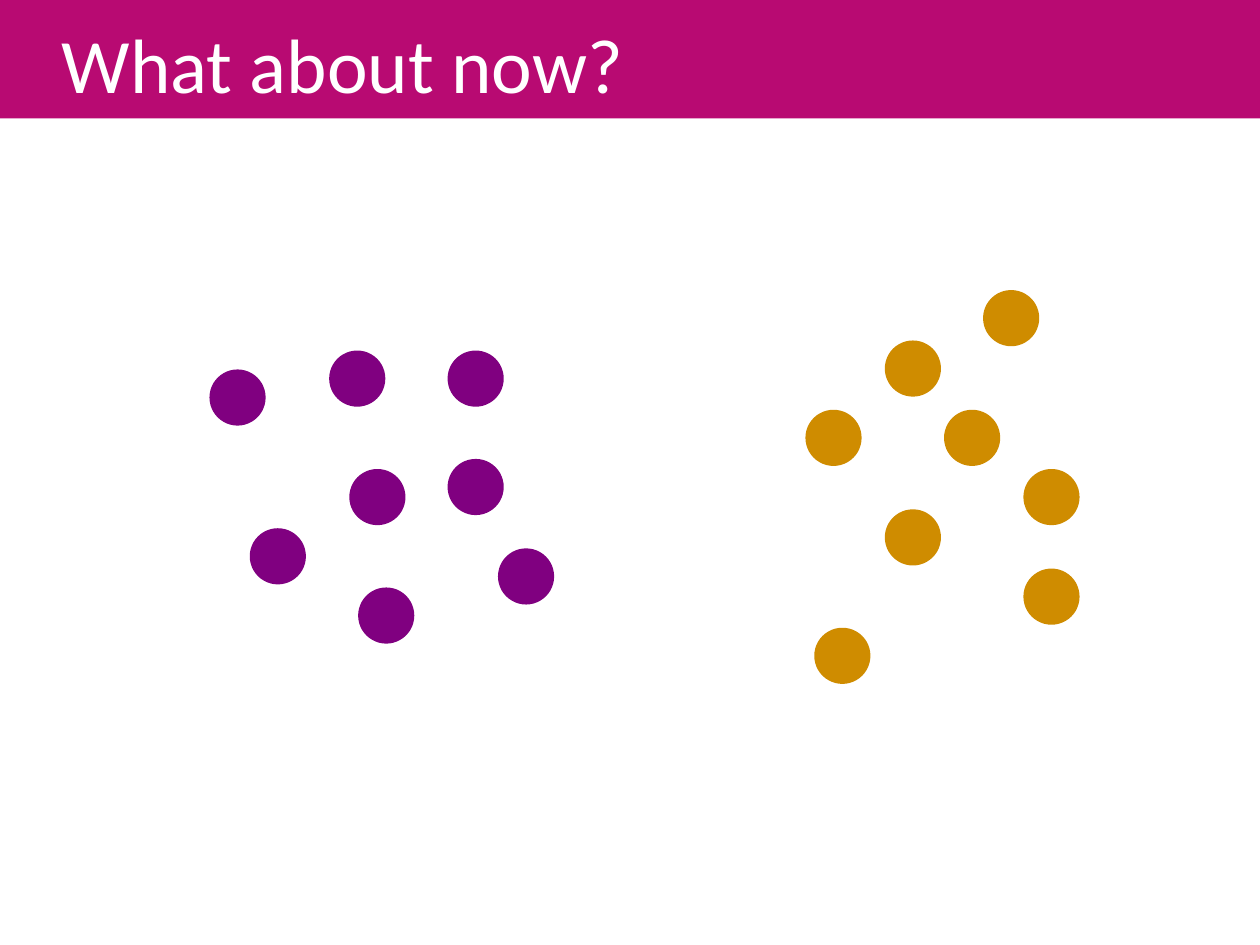
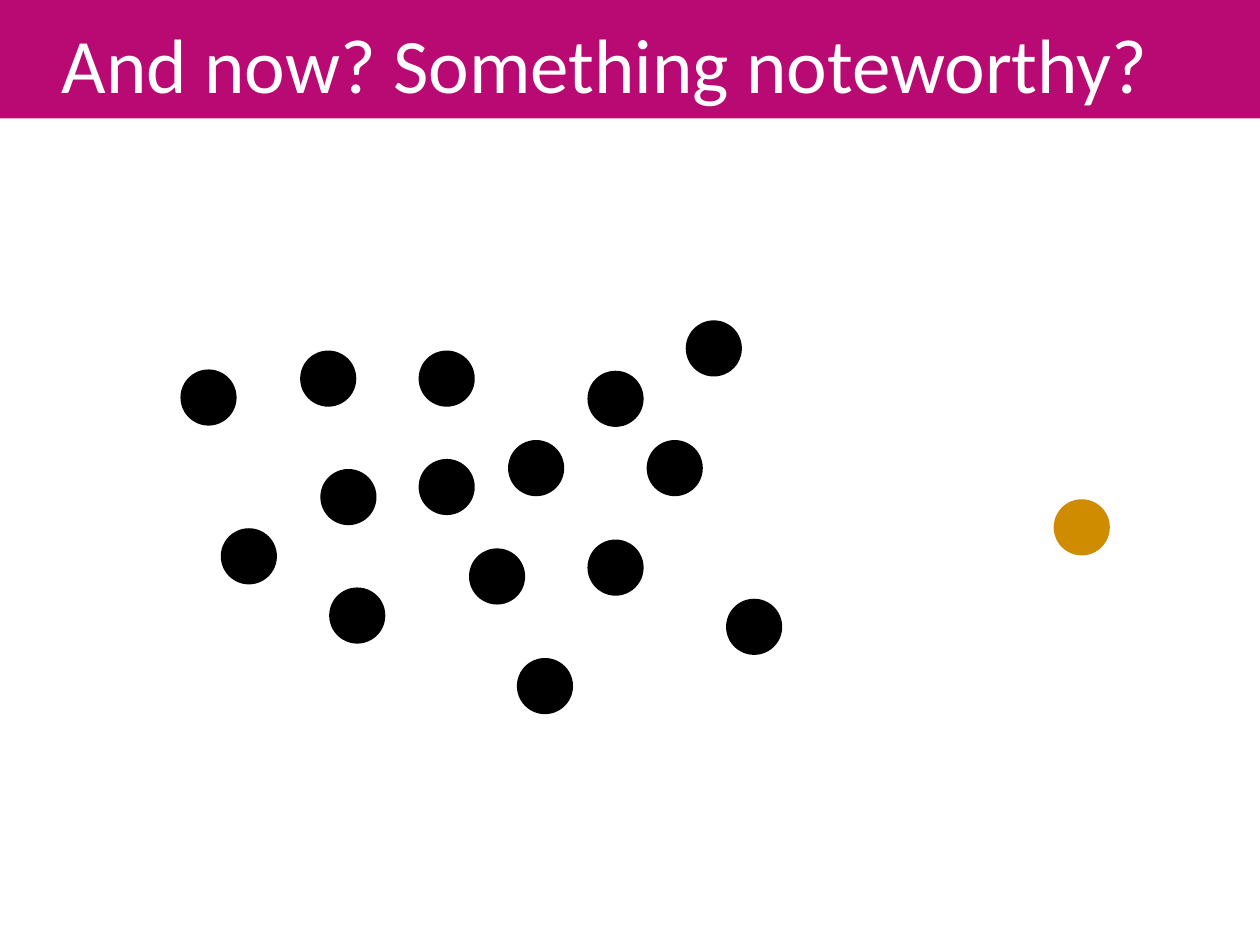
from pptx import Presentation
from pptx.dml.color import RGBColor
from pptx.enum import shapes, text
from pptx.util import Inches, Pt

# Content: dot positions (left, top) in inches
LEFT_CLUSTER = [(1.69, 2.96), (2.01, 4.22), (3.58, 3.67), (2.64, 2.81),
                (3.98, 4.38), (3.58, 2.81), (2.87, 4.69), (2.8, 3.75)]
RIGHT_CLUSTER = [(6.42, 3.28), (7.05, 4.07), (7.05, 2.73), (7.52, 3.28),
                 (7.83, 2.33), (8.15, 4.54), (6.49, 5.01)]
OUTLIER = [(8.15, 3.75)]

PURPLE, ORANGE, BLACK = "800080", "CF8C00", "000000"
MAGENTA, WHITE = "B80A72", "FFFFFF"

# Each group: dots, shift (right, down), colour
SLIDES = [
    ("What about now?", [
        (LEFT_CLUSTER, (0, 0), PURPLE),
        (RIGHT_CLUSTER, (0, 0), ORANGE),
        (OUTLIER, (0, 0), ORANGE),
    ]),
    ("And now? Something noteworthy?", [
        (LEFT_CLUSTER, (-0.23, 0), BLACK),
        (RIGHT_CLUSTER, (-2.36, 0.24), BLACK),
        (OUTLIER, (0.24, 0.24), ORANGE),
    ]),
]

# Shared measures
SLIDE_WIDTH, SLIDE_HEIGHT = 10, 7.5
BAND_HEIGHT = 0.94
DOT_SIZE = 0.39


def rgb(colour):
    return RGBColor.from_string(colour)


def add_filled(slide, preset, left, top, width, height, colour):
    shape = slide.shapes.add_shape(
        preset, Inches(left), Inches(top), Inches(width), Inches(height))
    shape.shadow.inherit = False
    shape.fill.solid()
    shape.fill.fore_color.rgb = rgb(colour)
    return shape


def add_title_band(slide, title):
    band = add_filled(slide, shapes.MSO_SHAPE.RECTANGLE,
                      0, 0, SLIDE_WIDTH, BAND_HEIGHT, MAGENTA)
    band.line.fill.background()
    frame = band.text_frame
    frame.word_wrap = True
    frame.vertical_anchor = text.MSO_ANCHOR.MIDDLE
    frame.margin_left = Inches(0.49)
    frame.margin_top = Inches(0.11)
    frame.margin_bottom = Inches(0.05)
    heading = frame.paragraphs[0]
    heading.text = title
    heading.alignment = text.PP_ALIGN.LEFT
    heading.font.name = "Calibri"
    heading.font.size = Pt(44)
    heading.font.color.rgb = rgb(WHITE)


def add_dots(slide, dots, shift, colour):
    right, down = shift
    for left, top in dots:
        dot = add_filled(slide, shapes.MSO_SHAPE.OVAL, left + right,
                         top + down, DOT_SIZE, DOT_SIZE, colour)
        dot.line.color.rgb = rgb(colour)
        dot.line.width = Pt(4)


def main():
    deck = Presentation()
    deck.slide_width = Inches(SLIDE_WIDTH)
    deck.slide_height = Inches(SLIDE_HEIGHT)
    blank = deck.slide_layouts[6]
    for title, groups in SLIDES:
        slide = deck.slides.add_slide(blank)
        add_title_band(slide, title)
        for dots, shift, colour in groups:
            add_dots(slide, dots, shift, colour)
    deck.save("out.pptx")


if __name__ == "__main__":
    main()
